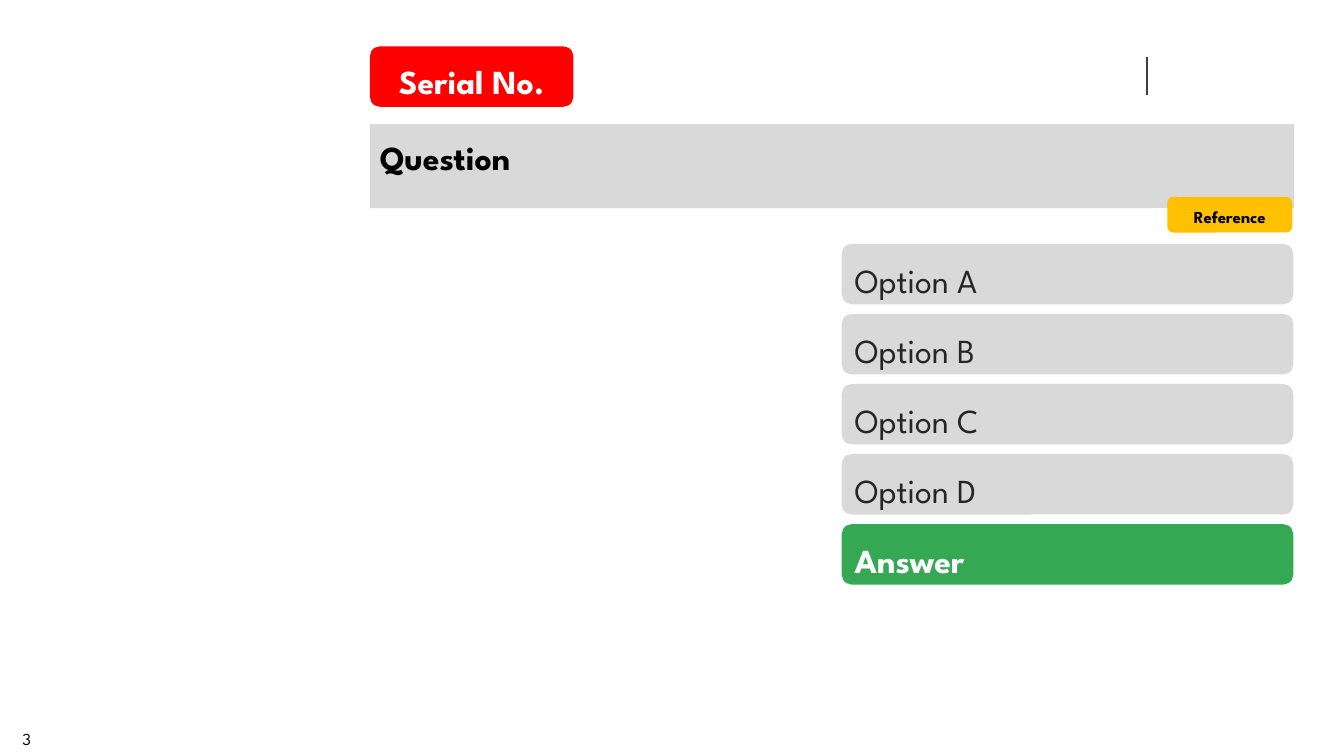
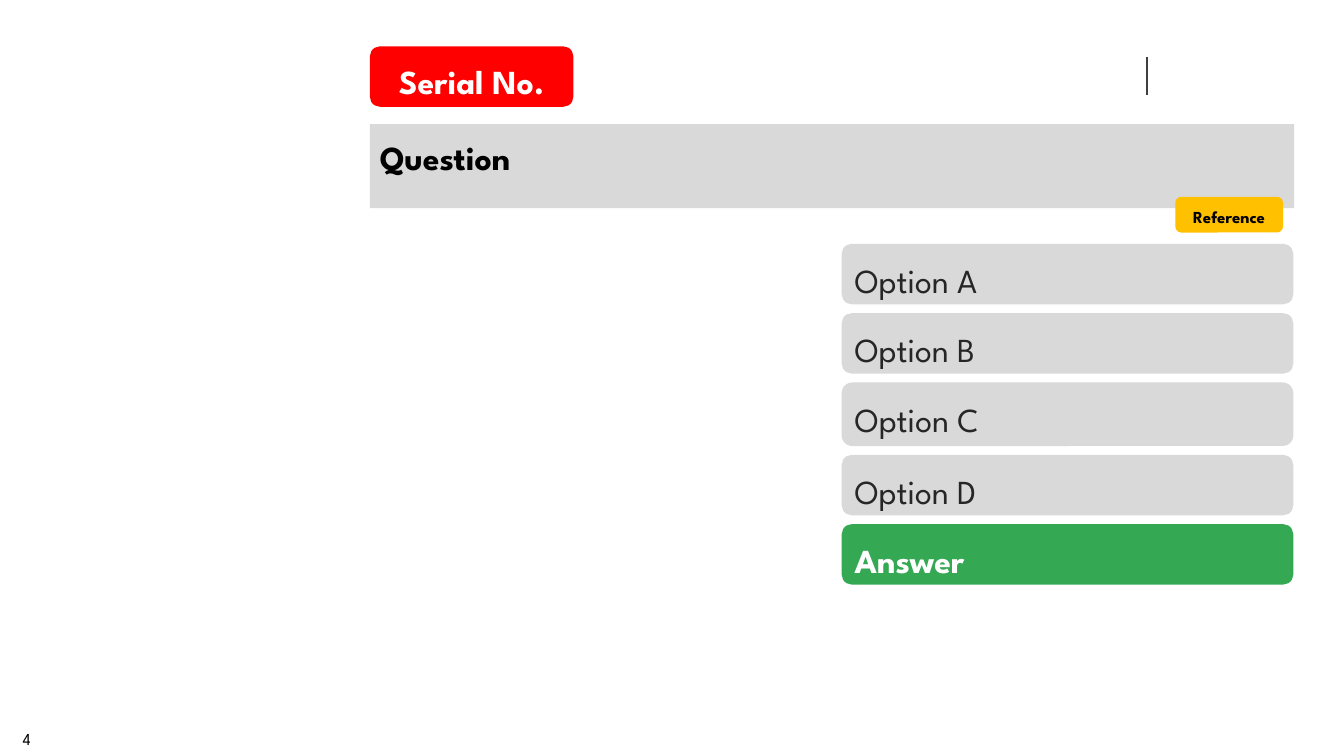
from lxml import etree
from pptx import Presentation
from pptx.dml.color import RGBColor
from pptx.enum.shapes import MSO_CONNECTOR, MSO_SHAPE
from pptx.enum.text import MSO_ANCHOR as ANCHOR, MSO_AUTO_SIZE as AUTO_SIZE, PP_ALIGN as ALIGN
from pptx.oxml.ns import qn
from pptx.util import Pt

FONT = "League Spartan"
BLACK, WHITE, DARK, RULE = "000000", "FFFFFF", "262626", "404040"
GRAY, RED, AMBER, GREEN = "D9D9D9", "FF0000", "FFC000", "34A853"

LEFT, WIDTH, ROW = 264.2, 660.2, 43.2
OPTION_LEFT, OPTION_WIDTH = 601.2, 322.6
OPTIONS_TOP, OPTIONS_BOTTOM = 174.2, 417.6
OPTIONS = ["Option A", "Option B", "Option C", "Option D", "Answer"]

# Page number, left and width of the reference tag, its wrapping, height of each option
PAGES = [
    (3, 833.8, 89.3, True, [ROW] * 5),
    (4, 839.5, 77, False, [ROW, ROW, 45.4, ROW, ROW]),
]


def color(value):
    return RGBColor.from_string(value)


def format_box(shape, place, text, font_color, fill=None, size=24, bold=True,
               centered=False, wrap=True, line_spacing=1.2):
    """Place a box and give it its fill and its single line of text."""
    shape.left, shape.top, shape.width, shape.height = map(Pt, place)
    if fill:
        if shape.is_placeholder:
            geometry = etree.SubElement(shape.element.spPr, qn("a:prstGeom"), prst="roundRect")
            etree.SubElement(geometry, qn("a:avLst"))
        else:
            shape.shadow.inherit = False
        shape.fill.solid()
        shape.fill.fore_color.rgb = color(fill)
        shape.line.fill.background()
    frame = shape.text_frame
    frame.text = text
    frame.auto_size = AUTO_SIZE.SHAPE_TO_FIT_TEXT if fill else AUTO_SIZE.NONE
    frame.word_wrap = wrap
    frame.vertical_anchor = ANCHOR.MIDDLE if centered else ANCHOR.TOP
    paragraph = frame.paragraphs[0]
    paragraph.alignment = ALIGN.CENTER if centered else ALIGN.LEFT
    paragraph.line_spacing = line_spacing
    font = paragraph.runs[0].font
    font.name, font.size, font.bold = FONT, Pt(size), bold
    font.color.rgb = color(font_color)


presentation = Presentation()
presentation.slide_width, presentation.slide_height = Pt(960), Pt(540)
title_only = presentation.slide_layouts[5]

for number, tag_left, tag_width, tag_wrap, heights in PAGES:
    slide = presentation.slides.add_slide(title_only)
    shapes = slide.shapes

    page_number = shapes.add_textbox(0, 0, 0, 0)
    format_box(page_number, (0, 514.8, 38.2, 25.9), str(number), BLACK,
               size=12, bold=False, centered=True, line_spacing=1.0)

    divider = shapes.add_connector(MSO_CONNECTOR.STRAIGHT, Pt(819.4), Pt(41), Pt(819.4), Pt(67.7))
    divider.line.color.rgb = color(RULE)
    divider.line.width = Pt(1)
    etree.SubElement(divider.element.spPr, qn("a:effectLst"))

    format_box(shapes.title, (LEFT, 88.6, WIDTH, ROW), "Question", BLACK, GRAY)

    serial = shapes.add_shape(MSO_SHAPE.ROUNDED_RECTANGLE, 0, 0, 0, 0)
    format_box(serial, (LEFT, 33.1, 145.4, ROW), "Serial No.", WHITE, RED, centered=True)

    reference = shapes.add_shape(MSO_SHAPE.ROUNDED_RECTANGLE, 0, 0, 0, 0)
    format_box(reference, (tag_left, 140.6, tag_width, 25.5), "Reference", BLACK, AMBER,
               size=12, centered=True, wrap=tag_wrap)

    gap = (OPTIONS_BOTTOM - OPTIONS_TOP - sum(heights)) / (len(heights) - 1)
    top = OPTIONS_TOP
    for text, height in zip(OPTIONS, heights):
        is_answer = text == "Answer"
        option = shapes.add_shape(MSO_SHAPE.ROUNDED_RECTANGLE, 0, 0, 0, 0)
        format_box(option, (OPTION_LEFT, top, OPTION_WIDTH, height), text,
                   WHITE if is_answer else DARK, GREEN if is_answer else GRAY, bold=is_answer)
        top += height + gap

presentation.save("out.pptx")
